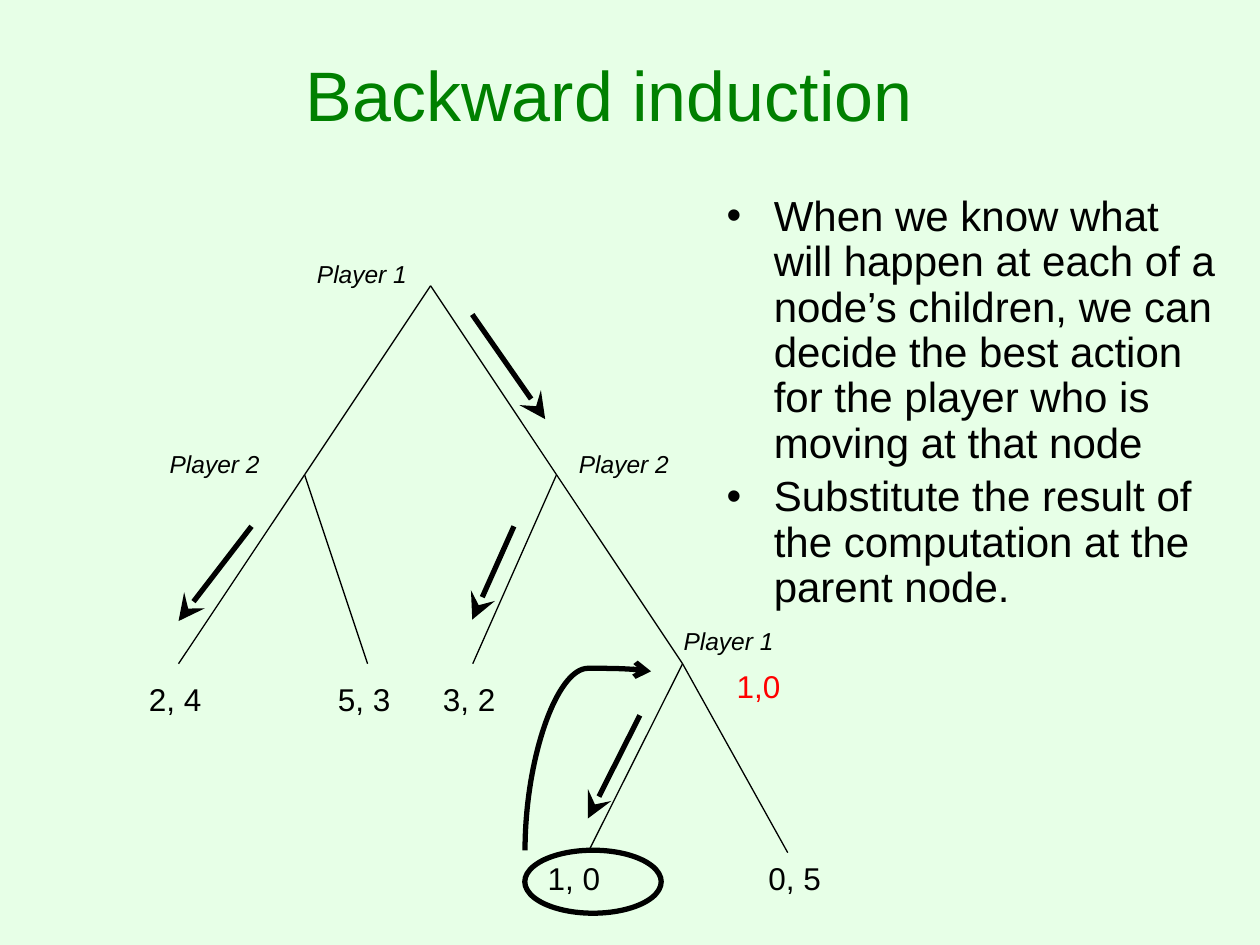
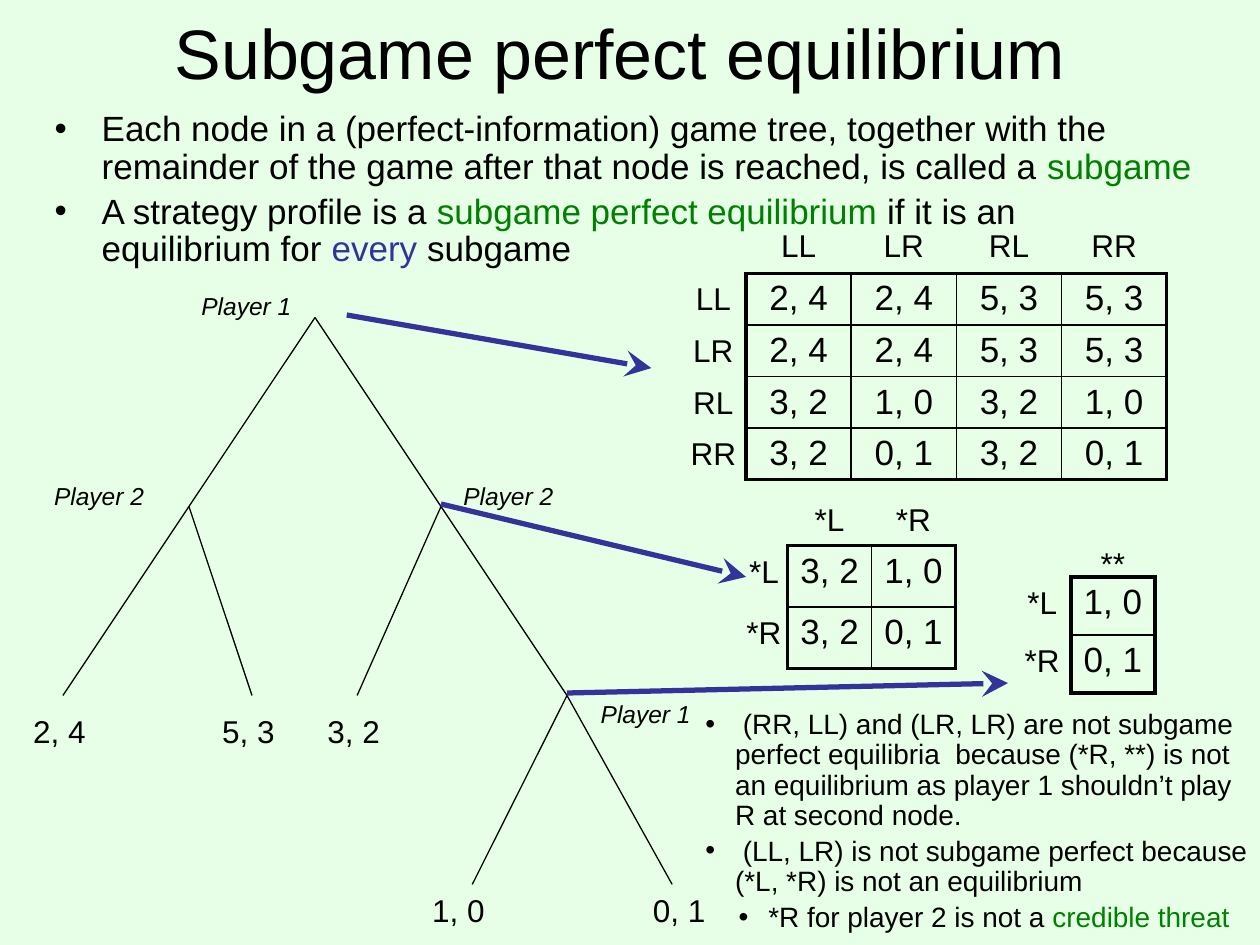
from dataclasses import dataclass

from lxml.etree import SubElement
from pptx import Presentation
from pptx.dml.color import RGBColor
from pptx.enum.shapes import MSO_CONNECTOR as Connector, MSO_SHAPE as Shape
from pptx.enum.text import MSO_ANCHOR as Anchor, PP_ALIGN as Align
from pptx.oxml.ns import qn
from pptx.util import Cm, Pt


@dataclass(frozen=True)
class Theme:
    font: str = "Arial"
    background: str = "E7FFE7"
    ink: str = "000000"
    green: str = "008000"
    blue: str = "333399"
    red: str = "FF0000"
    title: int = 40
    label: int = 18
    player: int = 14
    cell: int = 20
    thin: float = 0.75
    thick: float = 3
    grid: float = 1
    frame: float = 2.25


THEME = Theme()
LABEL_SIZE = (1.8, 1.02)

# Game tree, in cm from its root
ROOT, LEFT, RIGHT, LAST = (0, 0), (-2.54, 3.81), (2.54, 3.81), (5.08, 7.62)
LEAVES = [(-5.08, 7.62), (-1.27, 7.62), (0.85, 7.62), (3.17, 11.43), (7.2, 11.43)]
EDGES = [(ROOT, LEFT), (ROOT, RIGHT), (RIGHT, LAST),
         *zip((LEFT, LEFT, RIGHT, LAST, LAST), LEAVES)]
PAYOFF_OFFSETS = [(-0.85, 0.2)] * 3 + [(-1.06, 0), (-0.64, 0)]


def shift(point, offset):
    return point[0] + offset[0], point[1] + offset[1]


# Text
def write_run(paragraph, text, size, color=THEME.ink, italic=False):
    run = paragraph.add_run()
    run.text = text
    values = {"name": THEME.font, "size": Pt(size), "italic": italic}
    for name, value in values.items():
        setattr(run.font, name, value)
    run.font.color.rgb = RGBColor.from_string(color)


def add_text_frame(slide, box, wrap=True):
    text_frame = slide.shapes.add_textbox(*map(Cm, box)).text_frame
    text_frame.word_wrap = wrap
    return text_frame


def add_label(slide, corner, text, size=THEME.label, color=THEME.ink,
              italic=False, width=2.54, align=Align.LEFT, wrap=True):
    text_frame = add_text_frame(slide, (*corner, width, LABEL_SIZE[1]), wrap)
    paragraph = text_frame.paragraphs[0]
    paragraph.alignment = align
    write_run(paragraph, text, size, color, italic)


def add_centred_label(slide, top_centre, text, color=THEME.ink):
    width = LABEL_SIZE[0]
    add_label(slide, shift(top_centre, (-width / 2, 0)), text, color=color,
              width=width, align=Align.CENTER, wrap=False)


def add_bullets(slide, box, size, items):
    """Each item is (level, text indent, hanging indent, [(text, color)])."""
    text_frame = add_text_frame(slide, box)
    for index, (level, indent, hanging, runs) in enumerate(items):
        paragraph = text_frame.add_paragraph() if index else text_frame.paragraphs[0]
        values = {"level": level, "line_spacing": 0.9, "space_before": Pt(size * 0.2)}
        for name, value in values.items():
            setattr(paragraph, name, value)
        properties = paragraph._p.get_or_add_pPr()
        properties.set("marL", str(Cm(indent)))
        properties.set("indent", str(-Cm(hanging)))
        SubElement(properties, qn("a:buFont"), typeface=THEME.font)
        SubElement(properties, qn("a:buChar"), char="•")
        for text, color in runs:
            write_run(paragraph, text, size, color)


def add_titled_slide(presentation, text, box, color):
    slide = presentation.slides.add_slide(presentation.slide_layouts[5])
    title = slide.shapes.title
    for name, value in zip(("left", "top", "width", "height"), box):
        setattr(title, name, Cm(value))
    title.text_frame.vertical_anchor = Anchor.MIDDLE
    paragraph = title.text_frame.paragraphs[0]
    paragraph.alignment = Align.CENTER
    write_run(paragraph, text, THEME.title, color)
    return slide


# Lines
def add_line(slide, begin, end, color=THEME.ink, width=THEME.thin,
             head=None, kind=Connector.STRAIGHT):
    connector = slide.shapes.add_connector(kind, *map(Cm, (*begin, *end)))
    connector.line.color.rgb = RGBColor.from_string(color)
    connector.line.width = Pt(width)
    properties = connector._element.spPr
    if head:
        SubElement(properties.find(qn("a:ln")), qn("a:tailEnd"), head)
    SubElement(properties, qn("a:effectLst"))
    return connector


def add_arrow(slide, begin, end, color=THEME.ink):
    add_line(slide, begin, end, color, THEME.thick,
             {"type": "stealth", "w": "lg", "len": "lg"})


# Game tree
def add_game_tree(slide, root, payoffs, last_player_offset):
    for begin, end in EDGES:
        add_line(slide, shift(root, begin), shift(root, end))
    players = [("Player 1", ROOT, (-2.54, -0.66)), ("Player 2", LEFT, (-2.97, -0.64)),
               ("Player 2", RIGHT, (0.2, -0.64)), ("Player 1", LAST, last_player_offset)]
    for text, node, offset in players:
        add_label(slide, shift(shift(root, node), offset), text, THEME.player, italic=True)
    for text, leaf, offset in zip(payoffs, LEAVES, PAYOFF_OFFSETS):
        add_label(slide, shift(shift(root, leaf), offset), text)


def add_best_actions(slide, root):
    arrows = [((0.84, 0.58), (2.31, 2.69)), ((-3.61, 4.85), (-5.08, 6.76)),
              ((1.68, 4.85), (0.84, 6.73)), ((4.22, 8.66), (3.17, 10.74))]
    for begin, end in arrows:
        add_arrow(slide, shift(root, begin), shift(root, end))


def add_substitution(slide, root):
    # Ring around the chosen payoff
    ring = slide.shapes.add_shape(
        Shape.OVAL, *map(Cm, (*shift(root, (1.9, 11.38)), 2.75, 1.27)))
    ring.shadow.inherit = False
    ring.fill.background()
    ring.line.color.rgb = RGBColor.from_string(THEME.ink)
    ring.line.width = Pt(THEME.thick)
    # Curve from the ring up to the parent node
    curve = add_line(slide, shift(root, (4.98, 10.85)), shift(root, (1.37, 8.31)),
                     width=THEME.thick, head={"type": "arrow"}, kind=Connector.CURVE)
    properties = curve._element.spPr
    properties.find(qn("a:xfrm")).set("rot", "5400000")
    geometry = properties.find(qn("a:prstGeom"))
    adjustments = geometry.find(qn("a:avLst"))
    if adjustments is None:
        adjustments = SubElement(geometry, qn("a:avLst"))
    SubElement(adjustments, qn("a:gd"), name="adj1", fmla="val 101700")
    add_centred_label(slide, shift(root, (6.61, 7.57)), "1,0", THEME.red)


# Payoff matrices
def set_borders(cell, widths):
    properties = cell._tc.get_or_add_tcPr()
    for side, width in widths.items():
        border = SubElement(properties, qn(f"a:ln{side}"), w=str(Pt(width)))
        fill = SubElement(border, qn("a:solidFill"))
        SubElement(fill, qn("a:srgbClr"), val=THEME.ink)


def add_payoff_matrix(slide, corner, cell_size, rows, row_names, column_names,
                      row_gap, header_gap, align=Align.CENTER):
    """row_gap runs from the matrix to the row names' centre, header_gap to the headers' top."""
    left, top = corner
    width, height = cell_size
    row_count, column_count = len(rows), len(rows[0])
    table = slide.shapes.add_table(
        row_count, column_count,
        *map(Cm, (left, top, width * column_count, height * row_count))).table
    table.first_row = table.horz_banding = False
    for i, row in enumerate(rows):
        table.rows[i].height = Cm(height)
        for j, text in enumerate(row):
            cell = table.cell(i, j)
            outer = {"L": j == 0, "R": j == column_count - 1,
                     "T": i == 0, "B": i == row_count - 1}
            set_borders(cell, {side: THEME.frame if edge else THEME.grid
                               for side, edge in outer.items()})
            cell.fill.background()
            cell.margin_top, cell.margin_bottom = Cm(0.12), Cm(0.02)
            paragraph = cell.text_frame.paragraphs[0]
            paragraph.alignment = align
            write_run(paragraph, text, THEME.cell)
    for j, name in enumerate(column_names):
        table.columns[j].width = Cm(width)
        add_centred_label(slide, (left + (j + 0.5) * width, top - header_gap), name)
    for i, name in enumerate(row_names):
        add_centred_label(slide, (left - row_gap, top + i * height), name)


# Slides
def build_backward_induction(presentation):
    slide = add_titled_slide(presentation, "Backward induction",
                             (2.12, 0.85, 20.32, 2.08), THEME.green)
    root = (8.68, 5.76)
    add_game_tree(slide, root, ["2, 4", "5, 3", "3, 2", "1, 0", "0, 5"], (-0.23, -0.89))
    add_best_actions(slide, root)
    add_substitution(slide, root)
    texts = ["When we know what will happen at each of a node’s children, we can decide "
             "the best action for the player who is moving at that node",
             "Substitute the result of the computation at the parent node."]
    add_bullets(slide, (14.4, 3.81, 10.58, 13.97), 24,
                [(0, 0.95, 0.95, [(text, THEME.ink)]) for text in texts])


def build_subgame_perfection(presentation):
    ink, green, blue = THEME.ink, THEME.green, THEME.blue
    slide = add_titled_slide(presentation, "Subgame perfect equilibrium",
                             (2.54, 0, 19.9, 2.08), ink)
    # Definitions
    add_bullets(slide, (0.85, 2.12, 23.46, 5.93), 20, [
        (0, 0.95, 0.95, [
            ("Each node in a (perfect-information) game tree, together with the remainder "
             "of the game after that node is reached, is called a ", ink),
            ("subgame", green)]),
        (0, 0.95, 0.95, [
            ("A strategy profile is a", ink), (" subgame perfect equilibrium ", green),
            ("if it is an equilibrium for ", ink), ("every", blue), (" subgame", ink)]),
    ])
    add_game_tree(slide, (6.35, 6.4), ["2, 4", "5, 3", "3, 2", "1, 0", "0, 1"],
                  (0.43, -0.05))
    # One matrix for each subgame
    strategies = ["LL", "LR", "RL", "RR"]
    top_half = ["2, 4", "2, 4", "5, 3", "5, 3"]
    add_payoff_matrix(slide, (15.04, 5.51), (2.12, 1.04),
                      [top_half, top_half, ["3, 2", "1, 0"] * 2, ["3, 2", "0, 1"] * 2],
                      strategies, strategies, 0.66, 1.07)
    add_payoff_matrix(slide, (15.88, 11), (1.69, 1.24),
                      [["3, 2", "1, 0"], ["3, 2", "0, 1"]],
                      ["*L", "*R"], ["*L", "*R"], 0.48, 1.04)
    add_payoff_matrix(slide, (21.59, 11.63), (1.69, 1.17), [["1, 0"], ["0, 1"]],
                      ["*L", "*R"], ["**"], 0.58, 0.79, Align.LEFT)
    # Arrows from subgame roots to matrices
    for begin, end in [((6.99, 6.35), (13.13, 7.42)), ((8.89, 10.16), (15.04, 11.63)),
                       ((11.43, 13.97), (20.32, 13.77))]:
        add_arrow(slide, begin, end, blue)
    # Conclusions
    add_bullets(slide, (13.97, 14.2, 11.43, 4.85), 16, [
        (0, 0.6, 0.6, [
            (" (RR, LL) and (LR, LR) are not subgame perfect equilibria  because (*R, **) "
             "is not an equilibrium as player 1 shouldn’t play R at second node.", ink)]),
        (0, 0.6, 0.6, [
            (" (LL, LR) is not subgame perfect because (*L, *R) is not an equilibrium", ink)]),
        (1, 1.27, 0.6, [("*R for player 2 is not a ", ink), ("credible threat", green)]),
    ])


def main():
    presentation = Presentation()
    presentation.slide_width, presentation.slide_height = Cm(25.4), Cm(19.05)
    background = presentation.slide_master.background.fill
    background.solid()
    background.fore_color.rgb = RGBColor.from_string(THEME.background)
    build_backward_induction(presentation)
    build_subgame_perfection(presentation)
    presentation.save("out.pptx")


if __name__ == "__main__":
    main()
